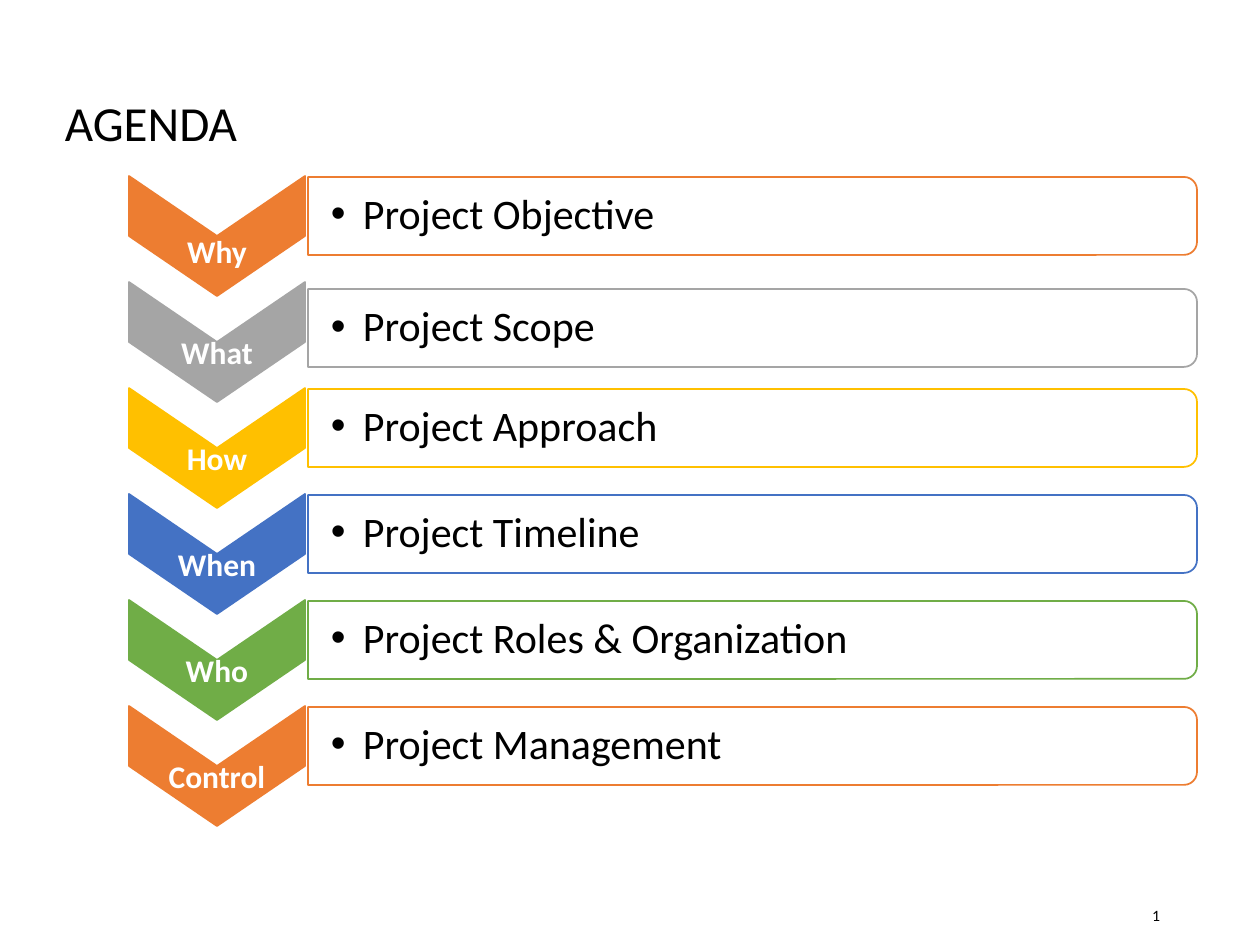
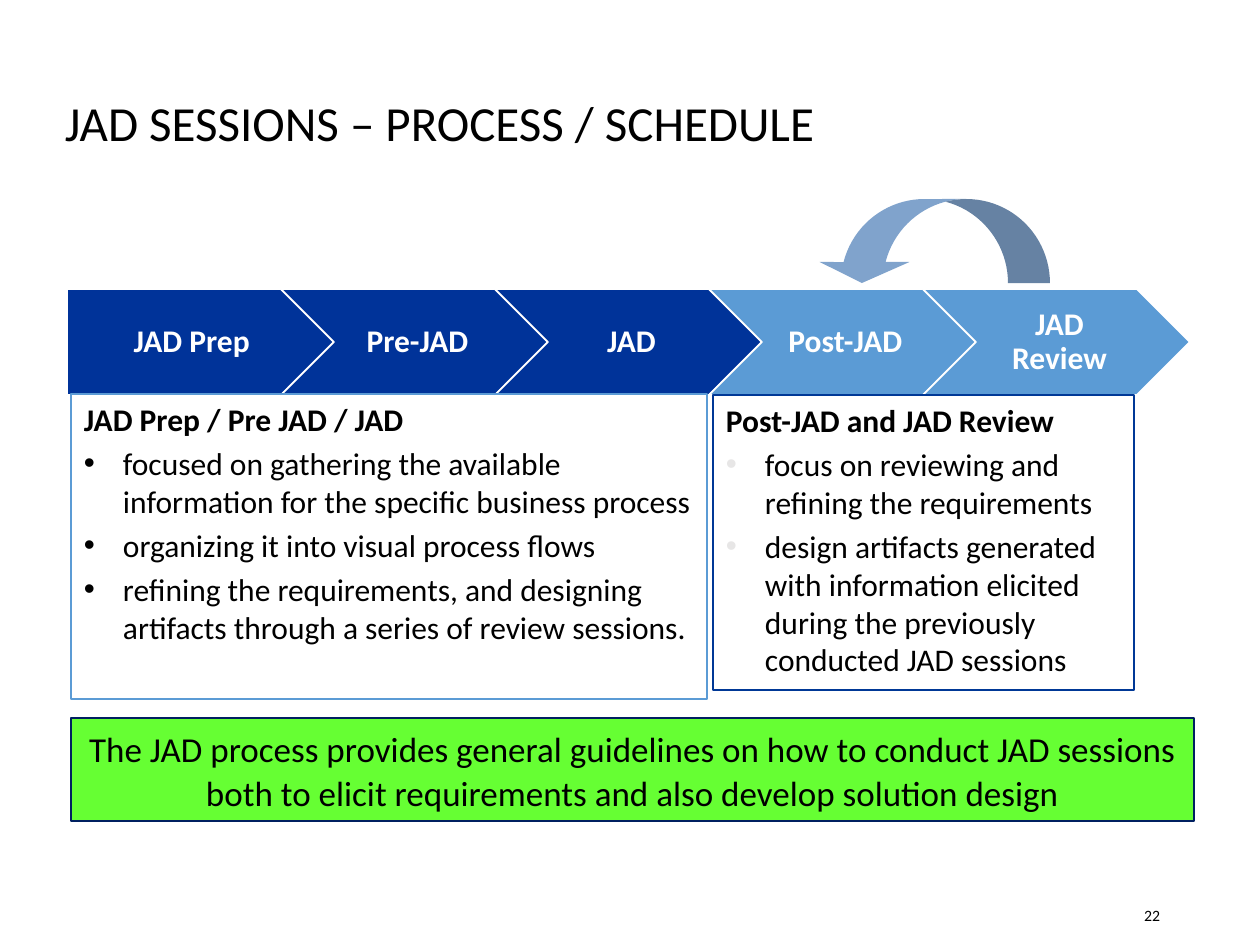
from lxml.etree import SubElement
from pptx import Presentation
from pptx.dml.color import RGBColor
from pptx.enum.shapes import MSO_SHAPE
from pptx.enum.text import MSO_ANCHOR, PP_ALIGN
from pptx.oxml.ns import qn
from pptx.util import Emu, Pt

# Shared look
FONT = "Calibri"
BLACK, WHITE = "000000", "FFFFFF"
ORANGE, GREY, GOLD, BLUE, GREEN = "ED7D31", "A5A5A5", "FFC000", "4472C4", "70AD47"
NAVY, SKY, LIME = "003399", "5B9BD5", "66FF33"
INSETS = (13, 6, 13, 6)

# Agenda: question, topic, colour, label drop, bar drop
AGENDA = [
    ("Why", "Project Objective", ORANGE, 17, 1),
    ("What", "Project Scope", GREY, 12, 7),
    ("How", "Project Approach", GOLD, 12, 1),
    ("When", "Project Timeline", BLUE, 12, 1),
    ("Who", "Project Roles & Organization", GREEN, 12, 1),
    ("Control", "Project Management", ORANGE, 12, 1),
]

# Process steps: name, colour
STEPS = [("JAD Prep", NAVY), ("Pre-JAD", NAVY), ("JAD", NAVY),
         ("Post-JAD", SKY), ("JAD Review", SKY)]

# Phase notes: box, line colour, bullet colour, heading, points
PHASES = [
    ((71, 394, 636, 305), SKY, BLACK, "JAD Prep / Pre JAD / JAD", [
        "focused on gathering the available information for the specific business process",
        "organizing it into visual process flows",
        "refining the requirements, and designing artifacts through a series of review sessions.",
    ]),
    ((713, 395, 421, 295), "003896", "E7E6E6", "Post-JAD and JAD Review", [
        "focus on reviewing and refining the requirements",
        "design artifacts generated with information elicited during the previously "
        "conducted JAD sessions",
    ]),
]
SUMMARY = ("The JAD process provides general guidelines on how to conduct JAD sessions "
           "both to elicit requirements and also develop solution design")


def px(length):
    return Emu(round(length * 914400 / 126))


def color(value):
    return RGBColor.from_string(value)


def add_paragraph(shape, text, size=18, ink=BLACK, bold=False, align=PP_ALIGN.LEFT,
                  spacing=1.0, before=0, bullet=None, indent=0):
    """Write text into the first free paragraph of the shape."""
    frame = shape.text_frame
    paragraph = frame.add_paragraph() if frame.text else frame.paragraphs[0]
    paragraph.alignment = align
    paragraph.line_spacing = spacing
    paragraph.space_before = Pt(before)
    run = paragraph.add_run()
    run.text = text
    run.font.name, run.font.size, run.font.bold = FONT, Pt(size), bold
    run.font.color.rgb = color(ink)
    if bullet:
        properties = paragraph._p.get_or_add_pPr()
        properties.set("marL", str(px(indent)))
        properties.set("indent", str(-px(indent)))
        tint = SubElement(properties, qn("a:buClr"))
        SubElement(tint, qn("a:srgbClr"), val=bullet)
        SubElement(properties, qn("a:buFont"), typeface="Arial")
        SubElement(properties, qn("a:buChar"), char="•")


def set_frame(shape, insets, anchor):
    frame = shape.text_frame
    frame.word_wrap = True
    frame.vertical_anchor = anchor
    (frame.margin_left, frame.margin_top,
     frame.margin_right, frame.margin_bottom) = map(px, insets)


def add_text(slide, box, text, insets=INSETS, **text_format):
    shape = slide.shapes.add_textbox(*map(px, box))
    set_frame(shape, insets, MSO_ANCHOR.MIDDLE)
    add_paragraph(shape, text, **text_format)


def add_box(slide, kind, box, fill=None, line=None, width=1.0, turned=False,
            insets=INSETS, anchor=MSO_ANCHOR.MIDDLE):
    """Add a preset shape; a turned one fills its box after a quarter turn."""
    left, top, wide, high = box
    if turned:
        left, top = left + (wide - high) / 2, top + (high - wide) / 2
        wide, high = high, wide
    shape = slide.shapes.add_shape(kind, px(left), px(top), px(wide), px(high))
    shape.rotation = 90 if turned else 0
    shape.shadow.inherit = False
    if fill:
        shape.fill.solid()
        shape.fill.fore_color.rgb = color(fill)
    else:
        shape.fill.background()
    if line:
        shape.line.color.rgb = color(line)
        shape.line.width = Pt(width)
    else:
        shape.line.fill.background()
    set_frame(shape, insets, anchor)
    return shape


def add_slide(presentation, title, number):
    slide = presentation.slides.add_slide(presentation.slide_layouts[6])
    add_text(slide, (52, 85, 1097, 82), title, size=28, spacing=0.9)
    add_text(slide, (890, 890, 283, 50), number, size=9, align=PP_ALIGN.RIGHT)
    return slide


def build_agenda(presentation):
    slide = add_slide(presentation, "AGENDA", "1")
    for index, (question, topic, tint, label_drop, bar_drop) in enumerate(AGENDA):
        top = 176 + 106 * index
        add_box(slide, MSO_SHAPE.CHEVRON, (129, top, 176, 120), tint, tint, turned=True)
        add_text(slide, (129, top + label_drop, 176, 120), question, insets=(1, 1, 1, 1),
                 ink=WHITE, bold=True, align=PP_ALIGN.CENTER, spacing=0.9)
        bar_top = top + bar_drop
        add_box(slide, MSO_SHAPE.ROUND_2_SAME_RECTANGLE, (308, bar_top, 889, 78),
                WHITE, tint, turned=True)
        add_text(slide, (307, bar_top + 4, 885, 70), topic, insets=(24, 2, 2, 2),
                 size=24, spacing=0.9, bullet=BLACK, indent=32)


def build_process(presentation):
    slide = add_slide(presentation, "JAD SESSIONS – PROCESS / SCHEDULE", "22")

    # Row of steps
    for index, (name, tint) in enumerate(STEPS):
        kind = MSO_SHAPE.CHEVRON if index else MSO_SHAPE.PENTAGON
        step = add_box(slide, kind, (67 + 214 * index, 289, 267, 106), tint, WHITE,
                       insets=(10 if index else 13, 6, 4, 6))
        add_paragraph(step, name, ink=WHITE, bold=True, align=PP_ALIGN.CENTER, spacing=0.9)

    # Arrow back from review to post-JAD
    arrow = add_box(slide, MSO_SHAPE.CURVED_DOWN_ARROW, (817, 199, 233, 84), "80A3CC")
    for index, value in enumerate((0.5, 1.07, 0.25)):
        arrow.adjustments[index] = value
    arrow._element.spPr.get_or_add_xfrm().set("flipH", "1")

    # Phase notes
    for box, line, bullet, heading, points in PHASES:
        note = add_box(slide, MSO_SHAPE.RECTANGLE, box, line=line, width=1.5,
                       anchor=MSO_ANCHOR.TOP)
        add_paragraph(note, heading, bold=True)
        for point in points:
            add_paragraph(note, point, before=3.6, bullet=bullet, indent=39)

    # Summary band
    band = add_box(slide, MSO_SHAPE.RECTANGLE, (71, 718, 1123, 103), LIME, "002060", 0.75)
    add_paragraph(band, SUMMARY, size=20, align=PP_ALIGN.CENTER, spacing=1.06)


def main():
    presentation = Presentation()
    presentation.slide_width, presentation.slide_height = px(1260), px(945)
    build_agenda(presentation)
    build_process(presentation)
    presentation.save("out.pptx")


if __name__ == "__main__":
    main()
